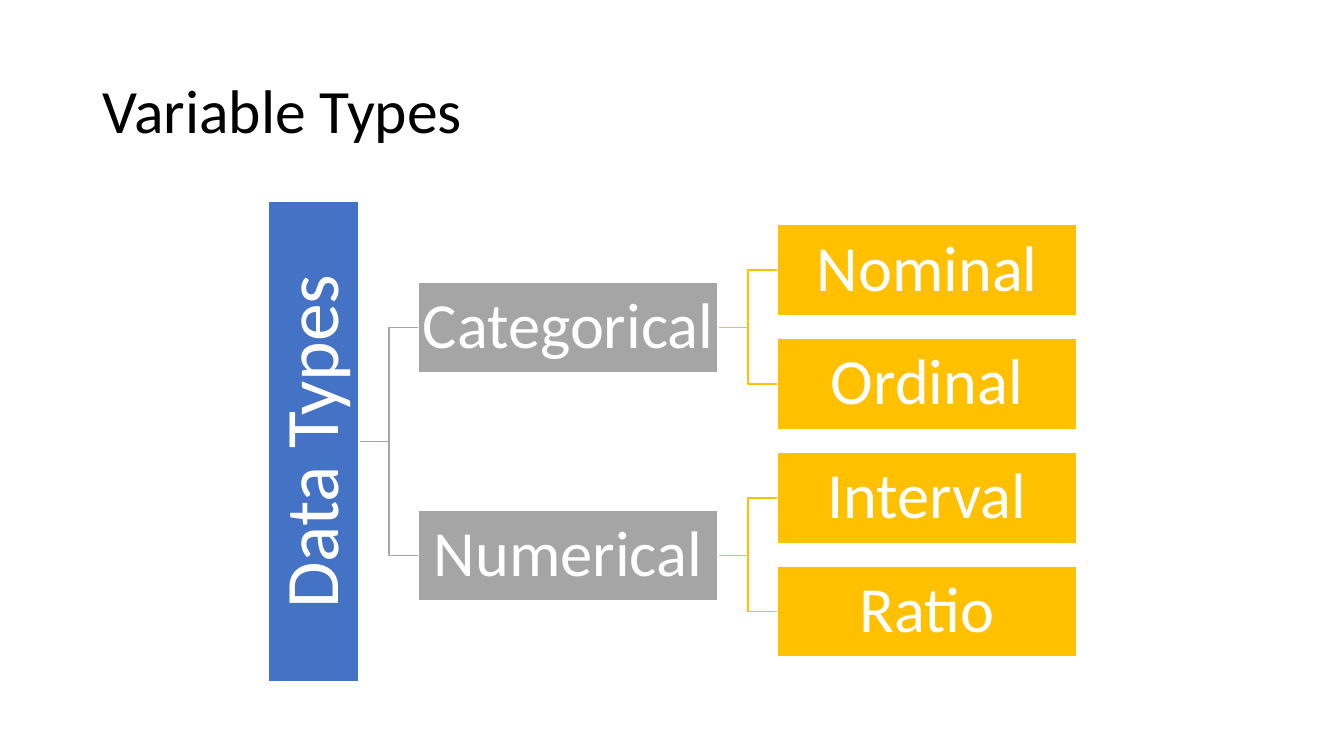
"""Draw the tree of variable types on one slide."""
from dataclasses import dataclass, field

from pptx import Presentation
from pptx.dml.color import RGBColor
from pptx.enum.shapes import MSO_SHAPE as Shape
from pptx.enum.text import MSO_ANCHOR as Anchor, PP_ALIGN as Align
from pptx.shapes.autoshape import Shape as Box
from pptx.shapes.shapetree import SlideShapes as Shapes
from pptx.slide import Slide
from pptx.util import Pt

PX = 9144
LEAF_TOP, PITCH = 268, 113
BEND = 30


@dataclass(frozen=True)
class Theme:
    font: str = "Calibri"
    ink: str = "000000"
    white: str = "FFFFFF"
    blue: str = "4472C4"
    gray: str = "A5A5A5"
    gold: str = "FFC000"
    title: int = 44
    root: int = 54
    node: int = 46


THEME = Theme()


@dataclass(frozen=True)
class Level:
    left: int
    wide: int
    tall: int
    color: str
    size: int
    inset: int
    turn: int = 0

    @property
    def right(self) -> int:
        """Give the right edge as seen after the turn."""
        return self.left + (self.tall if self.turn else self.wide)


@dataclass
class Node:
    text: str
    kids: list["Node"] = field(default_factory=list)
    mid: int = 0


LEVELS = (
    Level(266, 476, 90, THEME.blue, THEME.root, 4, 270),
    Level(415, 297, 90, THEME.gray, THEME.node, 3),
    Level(771, 297, 90, THEME.gold, THEME.node, 3),
)
TREE = Node("Data Types", [
    Node("Categorical", [Node("Nominal"), Node("Ordinal")]),
    Node("Numerical", [Node("Interval"), Node("Ratio")]),
])


def rgb(color: str) -> RGBColor:
    """Turn a hex string into a colour."""
    return RGBColor.from_string(color)


def place(node: Node, row: int = 0) -> int:
    """Set the middle of each node and return the next free row."""
    if not node.kids:
        node.mid = LEAF_TOP + row * PITCH
        return row + 1
    for kid in node.kids:
        row = place(kid, row)
    node.mid = (node.kids[0].mid + node.kids[-1].mid + 1) // 2
    return row


def write(box: Box, text: str, size: int, color: str, align: Align, inset: int) -> None:
    """Fill a box with one styled line of text."""
    frame = box.text_frame
    edges = {f"margin_{side}": inset * PX for side in ("left", "right", "top", "bottom")}
    for name, value in {**edges, "word_wrap": True, "vertical_anchor": Anchor.MIDDLE}.items():
        setattr(frame, name, value)
    para = frame.paragraphs[0]
    for name, value in {"alignment": align, "line_spacing": 0.9}.items():
        setattr(para, name, value)
    run = para.add_run()
    run.text = text
    for name, value in {"name": THEME.font, "size": Pt(size)}.items():
        setattr(run.font, name, value)
    run.font.color.rgb = rgb(color)


def outline(shape: Box, color: str) -> None:
    """Give a shape a thin line and no shadow."""
    shape.shadow.inherit = False
    shape.line.color.rgb = rgb(color)
    shape.line.width = Pt(1)


def link(shapes: Shapes, node: Node, depth: int = 0) -> None:
    """Draw the bent lines from a node to its kids, and onward."""
    start = LEVELS[depth].right
    for kid in node.kids:
        end, bend = LEVELS[depth + 1].left, start + BEND
        pen = shapes.build_freeform(start, node.mid, PX)
        pen.add_line_segments([(bend, node.mid), (bend, kid.mid), (end, kid.mid)], close=False)
        line = pen.convert_to_shape()
        line.fill.background()
        outline(line, LEVELS[depth + 1].color)
        link(shapes, kid, depth + 1)


def draw(shapes: Shapes, node: Node, depth: int = 0) -> None:
    """Draw a node and all its kids."""
    look = LEVELS[depth]
    left = (look.left + look.right - look.wide) // 2
    area = (left, node.mid - look.tall // 2, look.wide, look.tall)
    box = shapes.add_shape(Shape.RECTANGLE, *(n * PX for n in area))
    box.rotation = look.turn
    box.fill.solid()
    box.fill.fore_color.rgb = rgb(look.color)
    outline(box, THEME.white)
    write(box, node.text, look.size, THEME.white, Align.CENTER, look.inset)
    for kid in node.kids:
        draw(shapes, kid, depth + 1)


def build(slide: Slide) -> None:
    """Put the title and the tree on the slide."""
    title = slide.shapes.add_textbox(*(n * PX for n in (92, 40, 1150, 145)))
    write(title, "Variable Types", THEME.title, THEME.ink, Align.LEFT, 10)
    place(TREE)
    link(slide.shapes, TREE)
    draw(slide.shapes, TREE)


def main() -> None:
    """Make and save the deck."""
    deck = Presentation()
    deck.slide_width, deck.slide_height = 1333 * PX, 750 * PX
    build(deck.slides.add_slide(deck.slide_layouts[6]))
    deck.save("out.pptx")


if __name__ == "__main__":
    main()
